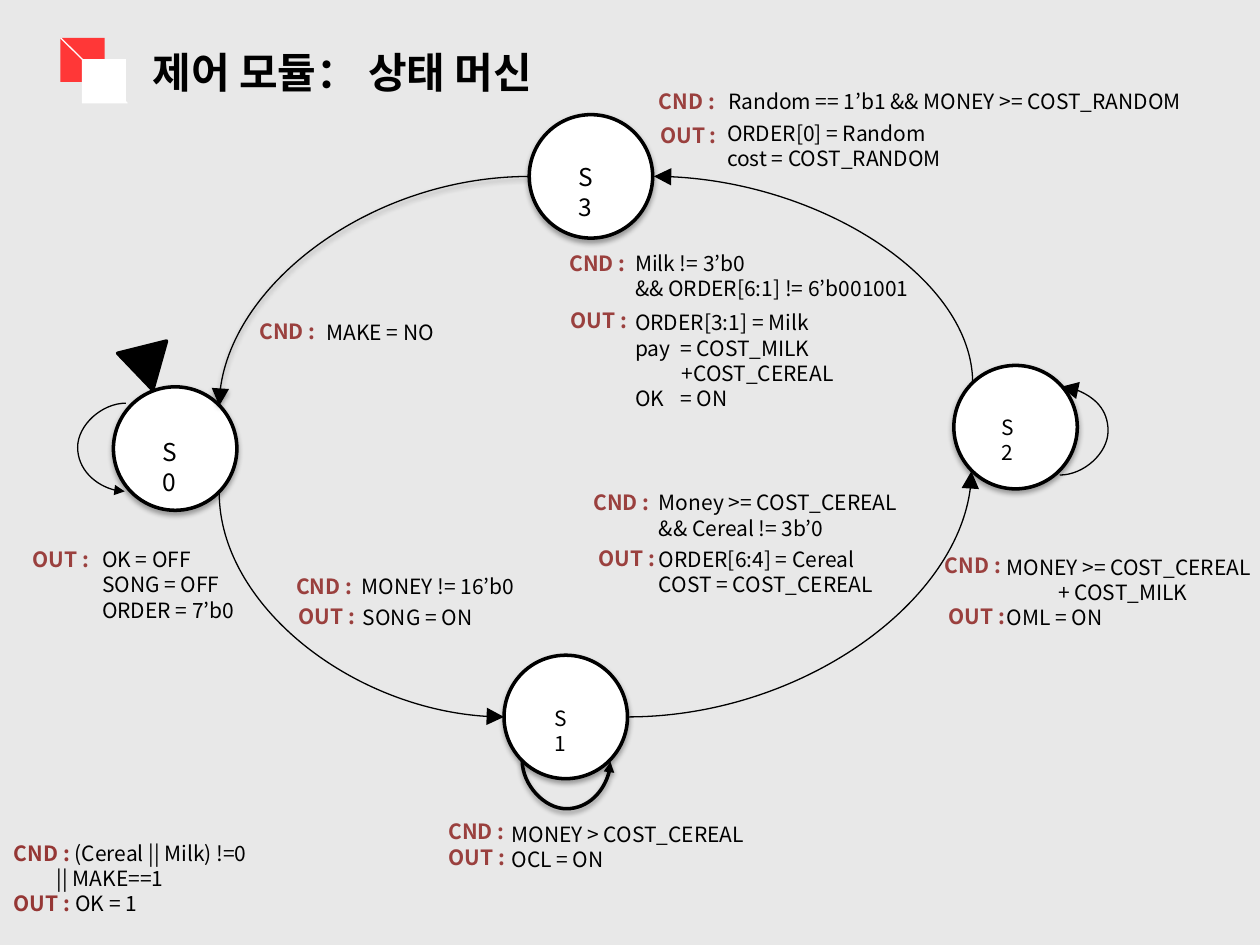
"""Builds the control module slide: a state machine with four states."""
from lxml.etree import SubElement
from pptx import Presentation
from pptx.dml.color import RGBColor
from pptx.enum.shapes import MSO_CONNECTOR as LINE, MSO_SHAPE as SHAPE
from pptx.enum.text import MSO_AUTO_SIZE as AUTO
from pptx.oxml.ns import qn
from pptx.util import Inches, Pt

FONT = "Noto Sans CJK KR"
BLACK, WHITE, RED = "000000", "FFFFFF", "FF3737"
LABEL, NOTE_LABEL = "9A403E", "953735"
color = RGBColor.from_string


def cast_shadow(effects, alpha, distance):
    shadow = SubElement(effects, qn("a:outerShdw"), blurRad=str(Pt(3)),
                        dist=str(Pt(distance)), dir="5400000", rotWithShape="0")
    tint = SubElement(shadow, qn("a:srgbClr"), val=BLACK)
    SubElement(tint, qn("a:alpha"), val=str(alpha * 1000))


def add_text(box, lines, size=12, hue=BLACK, bold=False, wrap=False, indents={}, tab=None):
    frame = slide.shapes.add_textbox(*map(Inches, box)).text_frame
    frame.word_wrap = wrap
    frame.auto_size = AUTO.SHAPE_TO_FIT_TEXT
    frame.margin_left = frame.margin_right = Inches(0.05)
    frame.margin_top = frame.margin_bottom = Inches(0.05)
    frame.text = "\n".join(lines)
    for row, paragraph in enumerate(frame.paragraphs):
        properties = paragraph._p.get_or_add_pPr()
        if row in indents:
            properties.set("marL", str(Inches(indents[row])))
            properties.set("indent", "0")
        if tab:
            stops = SubElement(properties, qn("a:tabLst"))
            SubElement(stops, qn("a:tab"), pos=str(Inches(tab)), algn="l")
        for run in paragraph.runs:
            run.font.size = Pt(size)
            run.font.bold = bold
            run.font.color.rgb = color(hue)
            run.font.name = FONT
            SubElement(run._r.get_or_add_rPr(), qn("a:ea"), typeface=FONT)
    return frame


prs = Presentation()
prs.slide_width, prs.slide_height = Inches(10), Inches(7.5)
slide = prs.slides.add_slide(prs.slide_layouts[6])
slide.background.fill.solid()
slide.background.fill.fore_color.rgb = color("E8E8E8")

for left, top, hue in [(0.48, 0.3, RED), (0.65, 0.47, WHITE)]:
    square = slide.shapes.add_shape(
        SHAPE.RECTANGLE, Inches(left), Inches(top), Inches(0.35), Inches(0.35))
    square.shadow.inherit = False
    square.fill.solid()
    square.fill.fore_color.rgb = color(hue)
    square.line.fill.background()
diagonal = slide.shapes.add_connector(
    LINE.STRAIGHT, Inches(0.48), Inches(0.3), Inches(1.01), Inches(0.82))
diagonal.line.color.rgb = color(WHITE)
diagonal.line.width = Pt(0.75)
SubElement(diagonal.element.spPr, qn("a:effectLst"))
add_text((1.16, 0.32, 3.24, 0.5), ["제어 모듈： 상태 머신"], 24, bold=True)

states = [("S0", 0.9, 3.07, 1.24, 3.42, 14), ("S1", 4, 5.2, 4.35, 5.55, 12),
          ("S2", 7.57, 2.9, 7.9, 3.24, 12), ("S3", 4.2, 0.91, 4.54, 1.24, 14)]
for state, left, top, text_left, text_top, size in states:
    circle = slide.shapes.add_shape(
        SHAPE.OVAL, Inches(left), Inches(top), Inches(0.98), Inches(0.98))
    circle.fill.solid()
    circle.fill.fore_color.rgb = color(WHITE)
    circle.line.color.rgb = color(BLACK)
    circle.line.width = Pt(2)
    circle.shadow.inherit = False
    cast_shadow(circle.element.spPr.find(qn("a:effectLst")), 35, 1.8)
    add_text((text_left, text_top, 0.28, 0.34), [state], size, wrap=True)

start = slide.shapes.add_shape(
    SHAPE.ISOSCELES_TRIANGLE, Inches(0.97), Inches(2.75), Inches(0.4), Inches(0.35))
start.rotation = 166
start.shadow.inherit = False
start.fill.solid()
start.fill.fore_color.rgb = color(BLACK)
start.line.color.rgb = color(BLACK)
start.line.width = Pt(2)

transitions = [
    ((1.98, 3.67, 1.78, 2.26), 270, "flipH", 2, 0.75, "tailEnd", "lg", False),
    ((4.98, 3.74, 2.73, 1.95), 0, "flipV", 2, 0.75, "tailEnd", "lg", False),
    ((5.19, 1.4, 2.53, 1.64), 0, None, 2, 0.75, "headEnd", "lg", False),
    ((1.74, 1.4, 2.46, 1.82), 180, "flipV", 2, 0.75, "tailEnd", "lg", True),
    ((0.99, 3.2, 0.01, 0.7), 0, "flipH", 3, 0.75, "tailEnd", "med", False),
    ((4.49, 5.69, 0.01, 0.7), 270, "flipH", 3, 2, "tailEnd", "med", True),
    ((8.41, 3.07, 0.01, 0.7), 180, "flipH", 3, 0.75, "tailEnd", "lg", False),
]
for (left, top, width, height), turn, flip, bend, weight, end, head, shaded in transitions:
    arc = slide.shapes.add_connector(
        LINE.CURVE, Inches(left), Inches(top), Inches(left + width), Inches(top + height))
    arc.line.color.rgb = color(BLACK)
    arc.line.width = Pt(weight)
    properties = arc.element.spPr
    transform = properties.find(qn("a:xfrm"))
    transform.set("rot", str(turn * 60000))
    if flip:
        transform.set(flip, "1")
    geometry = properties.find(qn("a:prstGeom"))
    geometry.set("prst", f"curvedConnector{bend}")
    if bend == 3:
        SubElement(geometry.find(qn("a:avLst")), qn("a:gd"), name="adj1", fmla="val 3900000")
    SubElement(properties.find(qn("a:ln")), qn(f"a:{end}"), type="triangle", w=head, len=head)
    effects = SubElement(properties, qn("a:effectLst"))
    if shaded:
        cast_shadow(effects, 38, 1.6)

conditions = [(4.47, 1.94), (2.01, 2.48), (3.51, 6.45), (4.66, 3.84),
              (2.3, 4.5), (5.18, 0.65), (7.45, 4.34)]
outputs = [(0.21, 4.29), (4.48, 2.39), (3.51, 6.65), (4.7, 4.28),
           (2.32, 4.74), (5.19, 0.92), (7.48, 4.74)]
for label, places in [("CND :", conditions), ("OUT :", outputs)]:
    for left, top in places:
        add_text((left, top, 0.57, 0.3), [label], hue=LABEL, bold=True)

details = [
    ((4.99, 1.94, 2.44, 0.5), ["Milk != 3’b0", "&& ORDER[6:1] != 6’b001001"]),
    ((2.54, 2.49, 1.05, 0.3), ["MAKE = NO"]),
    ((4.01, 6.47, 2.02, 0.5), ["MONEY > COST_CEREAL", "OCL = ON"]),
    ((5.18, 3.84, 2.05, 0.5), ["Money >= COST_CEREAL", "&& Cereal != 3b’0"]),
    ((5.18, 4.29, 1.82, 0.5), ["ORDER[6:4] = Cereal", "COST = COST_CEREAL"]),
    ((2.82, 4.5, 1.4, 0.3), ["MONEY != 16’b0"]),
    ((2.83, 4.75, 1.06, 0.3), ["SONG = ON"]),
    ((5.72, 0.91, 1.89, 0.5), ["ORDER[0] = Random", "cost = COST_RANDOM"]),
]
for box, lines in details:
    add_text(box, lines)
add_text((5.73, 0.65, 4, 0.3), ["Random == 1’b1 && MONEY >= COST_RANDOM"], wrap=True)
add_text((0.76, 4.29, 1.41, 0.71), ["OK = OFF", "SONG = OFF", "ORDER = 7’b0"], wrap=True)
add_text((4.99, 2.41, 1.88, 0.91),
         ["ORDER[3:1] = Milk", "pay\t= COST_MILK", "+COST_CEREAL", "OK\t= ON"],
         indents={2: 0.37}, tab=0.36)
add_text((7.94, 4.35, 2.13, 0.71), ["MONEY >= COST_CEREAL", "+ COST_MILK", "OML = ON"],
         indents={1: 0.41})

note = add_text((0.06, 6.62, 2.95, 0.71), ["CND : ", "|| MAKE==1", "OUT : "],
                wrap=True, indents={1: 0.34})
for row, expression in [(0, "(Cereal || Milk) !=0"), (2, "OK = 1")]:
    paragraph = note.paragraphs[row]
    paragraph.runs[0].font.bold = True
    paragraph.runs[0].font.color.rgb = color(NOTE_LABEL)
    run = paragraph.add_run()
    run.text = expression
    run.font.size = Pt(12)
    run.font.name = FONT
    run.font.color.rgb = color(BLACK)

prs.save("out.pptx")
